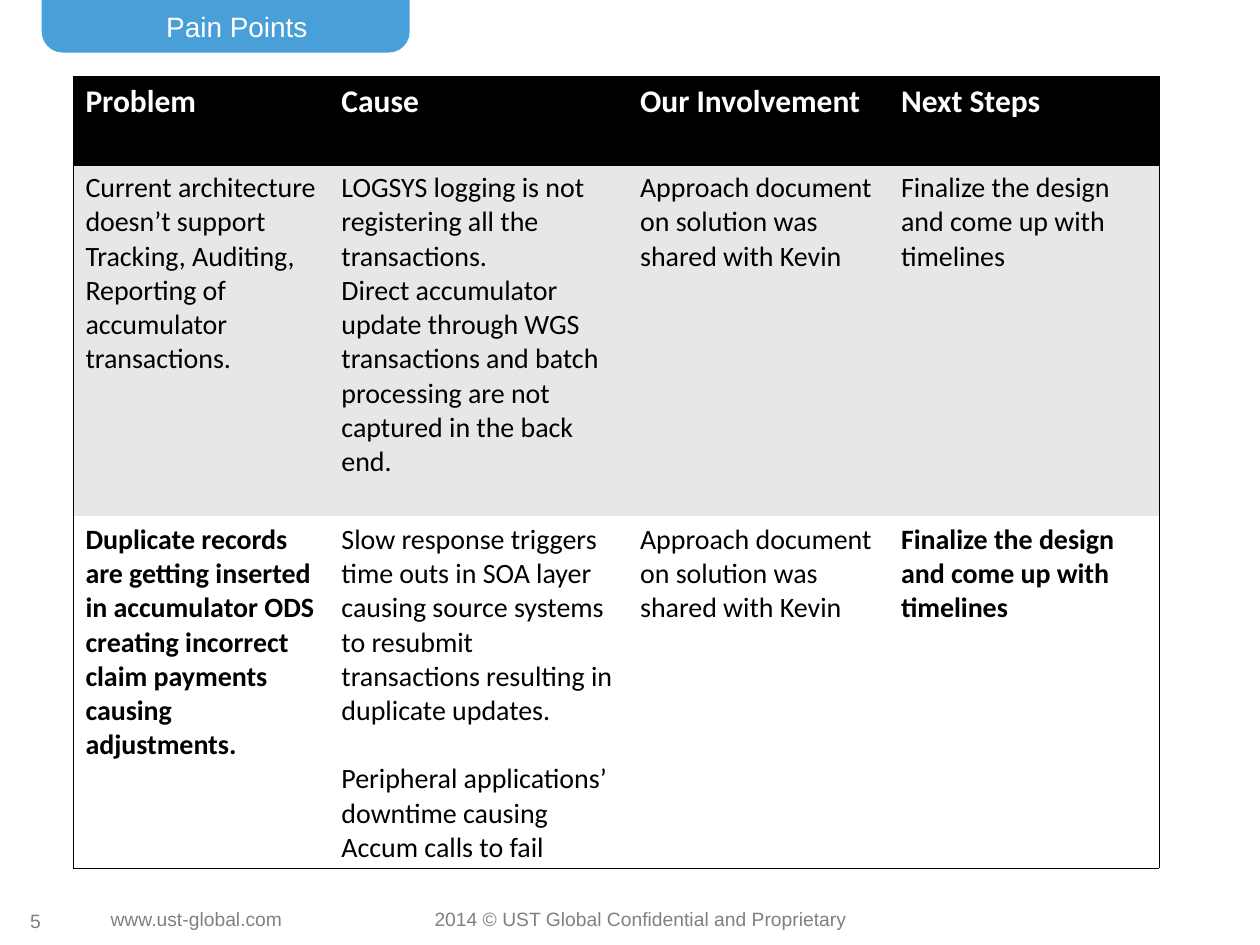
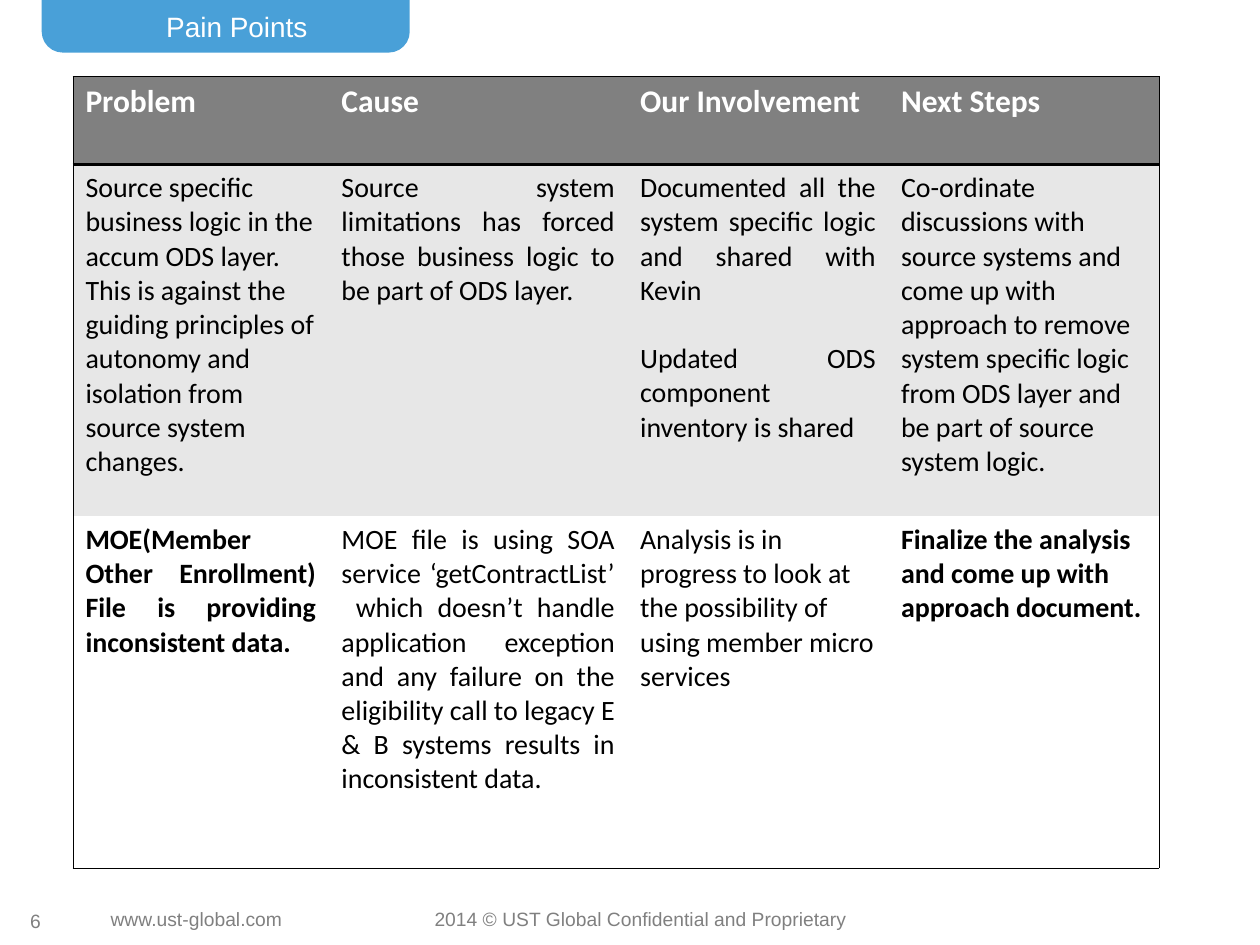
from lxml import etree
from pptx import Presentation
from pptx.dml.color import RGBColor
from pptx.enum.shapes import MSO_SHAPE
from pptx.enum.text import MSO_ANCHOR, MSO_AUTO_SIZE, PP_ALIGN
from pptx.oxml.ns import qn
from pptx.util import Cm, Pt

LEFT, CENTER, JUSTIFY = PP_ALIGN.LEFT, PP_ALIGN.CENTER, PP_ALIGN.JUSTIFY
MIDDLE = MSO_ANCHOR.MIDDLE
NO_AUTOFIT = MSO_AUTO_SIZE.NONE
TAB_SHAPE = MSO_SHAPE.ROUND_2_SAME_RECTANGLE

BLACK = RGBColor(0x00, 0x00, 0x00)
WHITE = RGBColor(0xFF, 0xFF, 0xFF)
GRAY = RGBColor(0x80, 0x80, 0x80)
LIGHT_GRAY = RGBColor(0xE7, 0xE7, 0xE7)
TAB_BLUE = RGBColor(0x49, 0xA0, 0xD8)

HEADING_FONT, TABLE_FONT = "Arial", "Calibri"
TITLE_ONLY_LAYOUT = 5
PLAIN_TABLE_STYLE = "{2D5ABB26-0587-4C30-8999-92F81FD0307C}"
THIN, THICK = Pt(0.25), Pt(2)
BLANK_LINE = Pt(19.5)

TAB_LEFT, TAB_HEIGHT = Cm(0.84), Cm(1.06)
COLUMN_WIDTHS = [Cm(5.16), Cm(6.02), Cm(5.26), Cm(5.46)]
ROW_HEIGHTS = [Cm(1.78), Cm(7.09), Cm(7.09)]
FIRST_PAGE = 5

HEADINGS = ["Problem", "Cause", "Our Involvement", "Next Steps"]
APPROACH_SHARED = "Approach document on solution was shared with Kevin"
FINALIZE_DESIGN = "Finalize the design and come up with timelines"

# Per slide: header colour, body rows, justified cells (row, column),
# and cells whose second paragraph stands one line apart.
PAIN_POINTS = [
    dict(
        header_color=BLACK,
        rows=[
            ["Current architecture doesn’t support Tracking, Auditing, "
             "Reporting of accumulator transactions.",
             "LOGSYS logging is not registering all the transactions.\n"
             "Direct accumulator update through WGS transactions and batch "
             "processing are not captured in the back end.",
             APPROACH_SHARED, FINALIZE_DESIGN],
            ["Duplicate records are getting inserted in accumulator ODS "
             "creating incorrect claim payments causing adjustments.",
             "Slow response triggers time outs in SOA layer causing source "
             "systems to resubmit transactions resulting in duplicate updates.\n"
             "Peripheral applications’ downtime causing Accum calls to fail",
             APPROACH_SHARED, FINALIZE_DESIGN],
        ],
        justified=set(),
        spaced={(2, 1)},
    ),
    dict(
        header_color=GRAY,
        rows=[
            ["Source specific business logic in the accum ODS layer. This is "
             "against the guiding principles of autonomy and isolation from "
             "source system changes.",
             "Source system limitations has forced those business logic to be "
             "part of ODS layer.",
             "Documented all the system specific logic and shared with Kevin\n"
             "Updated ODS component inventory is shared",
             "Co-ordinate discussions with source systems and come up with "
             "approach to remove system specific logic from ODS layer and be "
             "part of source system logic."],
            ["MOE(Member Other Enrollment) File is providing inconsistent data.",
             "MOE file is using SOA service ‘getContractList’  which doesn’t "
             "handle application exception and any failure on the eligibility "
             "call to legacy E & B systems results in inconsistent data.",
             "Analysis is in progress to look at the possibility of using "
             "member micro services",
             "Finalize the analysis and come up with approach document."],
        ],
        justified={(1, 1), (1, 2), (2, 0), (2, 1)},
        spaced={(1, 2)},
    ),
]


def format_text(frame, font, size, color, align=LEFT, bold=False):
    for paragraph in frame.paragraphs:
        paragraph.alignment = align
        for run in paragraph.runs:
            run.font.name = font
            run.font.size = Pt(size)
            run.font.bold = bold
            run.font.color.rgb = color


def add_title_tab(slide, text):
    """Place the title on a blue tab hanging from the top edge."""
    title = slide.shapes.title
    title.left, title.top, title.width, title.height = TAB_LEFT, 0, Cm(7.87), TAB_HEIGHT
    title.text_frame.text = text
    title.text_frame.auto_size = NO_AUTOFIT
    title.text_frame.vertical_anchor = MIDDLE
    format_text(title.text_frame, HEADING_FONT, 16, WHITE, CENTER)

    tab = slide.shapes.add_shape(TAB_SHAPE, TAB_LEFT, 0, Cm(7.42), TAB_HEIGHT)
    tab.rotation = 180
    tab.adjustments[0] = 0.4
    tab.adjustments[1] = 0
    tab.shadow.inherit = False
    tab.fill.solid()
    tab.fill.fore_color.rgb = TAB_BLUE
    tab.line.fill.background()
    title.element.addprevious(tab.element)


def add_footer_text(slide, text, left, width):
    box = slide.shapes.add_textbox(left, Cm(18.16), width, Cm(0.74))
    box.text_frame.text = text
    format_text(box.text_frame, HEADING_FONT, 11, GRAY)


def add_page_number(slide, number):
    box = slide.shapes.add_textbox(Cm(0.23), Cm(18.31), Cm(0.97), Cm(0.51))
    frame = box.text_frame
    frame.margin_left = frame.margin_right = frame.margin_top = frame.margin_bottom = 0
    frame.vertical_anchor = MIDDLE
    frame.word_wrap = True
    frame.text = str(number)
    format_text(frame, HEADING_FONT, 11, GRAY, CENTER)


def add_border(cell, side, width):
    """Draw a black border on side L, R, T or B; sides must come in that order."""
    properties = cell._tc.get_or_add_tcPr()
    border = etree.SubElement(properties, qn(f"a:ln{side}"), w=str(int(width)))
    fill = etree.SubElement(border, qn("a:solidFill"))
    etree.SubElement(fill, qn("a:srgbClr"), val=str(BLACK))


def outline_cell(cell, row, column):
    """Frame the table and rule off its header row."""
    if column == 0:
        add_border(cell, "L", THIN)
    if column == len(COLUMN_WIDTHS) - 1:
        add_border(cell, "R", THIN)
    if row == 0:
        add_border(cell, "T", THIN)
        add_border(cell, "B", THICK)
    if row == len(ROW_HEIGHTS) - 1:
        add_border(cell, "B", THIN)


def add_pain_table(slide, header_color, rows, justified, spaced):
    table = slide.shapes.add_table(
        len(ROW_HEIGHTS), len(COLUMN_WIDTHS), Cm(1.47), Cm(1.54),
        sum(COLUMN_WIDTHS), sum(ROW_HEIGHTS)).table
    table._tbl.tblPr.find(qn("a:tableStyleId")).text = PLAIN_TABLE_STYLE
    for column, width in zip(table.columns, COLUMN_WIDTHS):
        column.width = width
    for row, height in zip(table.rows, ROW_HEIGHTS):
        row.height = height

    row_fills = [header_color, LIGHT_GRAY, WHITE]
    for r, texts in enumerate([HEADINGS] + rows):
        for c, text in enumerate(texts):
            cell = table.cell(r, c)
            outline_cell(cell, r, c)
            cell.fill.solid()
            cell.fill.fore_color.rgb = row_fills[r]
            cell.text_frame.text = text
            if r == 0:
                format_text(cell.text_frame, TABLE_FONT, 18, WHITE, bold=True)
            else:
                align = JUSTIFY if (r, c) in justified else LEFT
                emphasized = r == 2 and c in (0, 3)
                format_text(cell.text_frame, TABLE_FONT, 16, BLACK, align, emphasized)
            if (r, c) in spaced:
                cell.text_frame.paragraphs[1].space_before = BLANK_LINE


def main():
    prs = Presentation()
    prs.slide_width, prs.slide_height = Cm(25.4), Cm(19.05)
    for page, pain_points in enumerate(PAIN_POINTS, FIRST_PAGE):
        slide = prs.slides.add_slide(prs.slide_layouts[TITLE_ONLY_LAYOUT])
        add_title_tab(slide, "Pain Points")
        add_footer_text(slide, "www.ust-global.com", Cm(1.98), Cm(4.01))
        add_footer_text(slide, "2014 © UST Global Confidential and Proprietary",
                        Cm(8.51), Cm(8.89))
        add_page_number(slide, page)
        add_pain_table(slide, **pain_points)
    prs.save("out.pptx")


if __name__ == "__main__":
    main()
